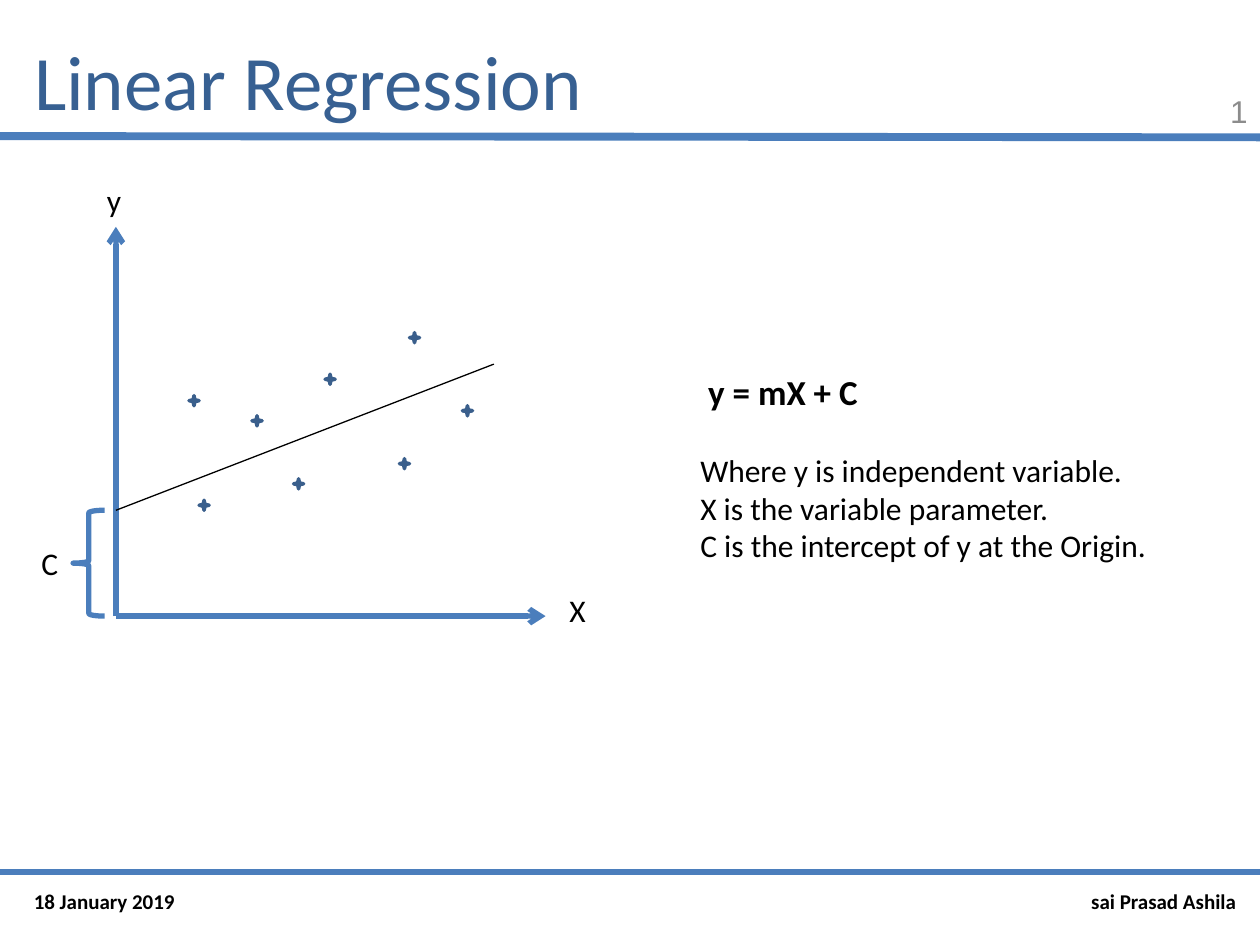
"""Build a slide that explains linear regression with a sketch and its equation."""
from lxml import etree
from pptx import Presentation
from pptx.dml.color import RGBColor
from pptx.enum import shapes, text
from pptx.oxml import ns
from pptx.util import Inches, Pt

BLUE, BLACK = "4B7EBC", "000000"
LEFT, RIGHT = text.PP_ALIGN.LEFT, text.PP_ALIGN.RIGHT
TOP, MIDDLE = text.MSO_ANCHOR.TOP, text.MSO_ANCHOR.MIDDLE


def color(value):
    return RGBColor.from_string(value)


def write(box, lines, anchor=TOP, align=LEFT, ink=BLACK, **format_values):
    frame = box.text_frame
    frame.word_wrap = True
    frame.vertical_anchor = anchor
    frame.text = "\n".join(lines)
    for para in frame.paragraphs:
        para.alignment = align
        font = para.runs[0].font
        font.color.rgb = color(ink)
        for name, value in {"name": "Calibri", "size": Pt(18), **format_values}.items():
            setattr(font, name, value)
    return frame.paragraphs


deck = Presentation()
deck.slide_width, deck.slide_height = Inches(10), Inches(7.5)
page = deck.slides.add_slide(deck.slide_layouts[5])

title = page.shapes.title
title.left, title.top, title.width, title.height = map(Inches, (0.17, 0.17, 8.17, 0.92))
write(title, ["Linear Regression"], MIDDLE, ink="376092", size=Pt(44))

origin_x, origin_y, intercept_y = 0.92, 4.89, 4.05
lines = [
    ((0, 1.08), (10, 1.09), BLUE, 4.5, False),
    ((0, 6.92), (10, 6.92), BLUE, 3, False),
    ((origin_x, origin_y), (origin_x, 1.8), BLUE, 3, True),
    ((origin_x, origin_y), (4.33, origin_y), BLUE, 3, True),
    ((origin_x, intercept_y), (3.92, 2.89), BLACK, 0.75, False),
]
for start, end, ink, width, has_arrow in lines:
    line = page.shapes.add_connector(
        shapes.MSO_CONNECTOR.STRAIGHT, *map(Inches, start + end))
    line.line.color.rgb = color(ink)
    line.line.width = Pt(width)
    etree.SubElement(line.element.spPr, ns.qn("a:effectLst"))
    if has_arrow:
        etree.SubElement(line.line._get_or_add_ln(), ns.qn("a:tailEnd"), type="arrow")

points = [(1.5, 3.14), (1.58, 3.97), (2, 3.3), (2.58, 2.97),
          (2.33, 3.8), (3.25, 2.64), (3.17, 3.64), (3.67, 3.22)]
for left, top in points:
    star = page.shapes.add_shape(
        shapes.MSO_SHAPE.STAR_4_POINT, *map(Inches, (left, top, 0.08, 0.08)))
    star.shadow.inherit = False
    star.fill.solid()
    star.fill.fore_color.rgb = color("4F81BD")
    star.line.color.rgb = color("3A5F8C")
    star.line.width = Pt(2)

brace = page.shapes.add_shape(
    shapes.MSO_SHAPE.LEFT_BRACE,
    *map(Inches, (0.58, intercept_y, 0.25, origin_y - intercept_y)))
brace.shadow.inherit = False
brace.fill.background()
brace.line.color.rgb = color(BLUE)
brace.line.width = Pt(3)

bold_small = {"anchor": MIDDLE, "size": Pt(12), "bold": True}
labels = [
    ("y", (0.75, 1.39, 0.25, 0.4), {}),
    ("X", (4.42, 4.64, 0.25, 0.4), {}),
    ("C", (0.23, 4.27, 0.25, 0.4), {}),
    ("18 January 2019", (0.17, 6.95, 1.5, 0.4), bold_small),
    ("sai Prasad Ashila", (8.08, 6.95, 1.83, 0.4), {**bold_small, "align": RIGHT}),
    ("1", (8.92, 0.67, 1.08, 0.42),
     {"anchor": MIDDLE, "align": RIGHT, "ink": "8C8C8C", "name": "Arial"}),
]
for label, place, format_values in labels:
    write(page.shapes.add_textbox(*map(Inches, place)), [label], **format_values)

explanation = page.shapes.add_textbox(*map(Inches, (5.46, 2.89, 4, 1.65)))
equation, *meanings = write(explanation, [
    " y = mX + C",
    "Where y is independent variable.",
    "X is the variable parameter.",
    "C is the intercept of y at the Origin.",
])
equation.runs[0].font.size = Pt(20)
equation.runs[0].font.bold = True
meanings[0].space_before = Pt(22)

deck.save("out.pptx")
